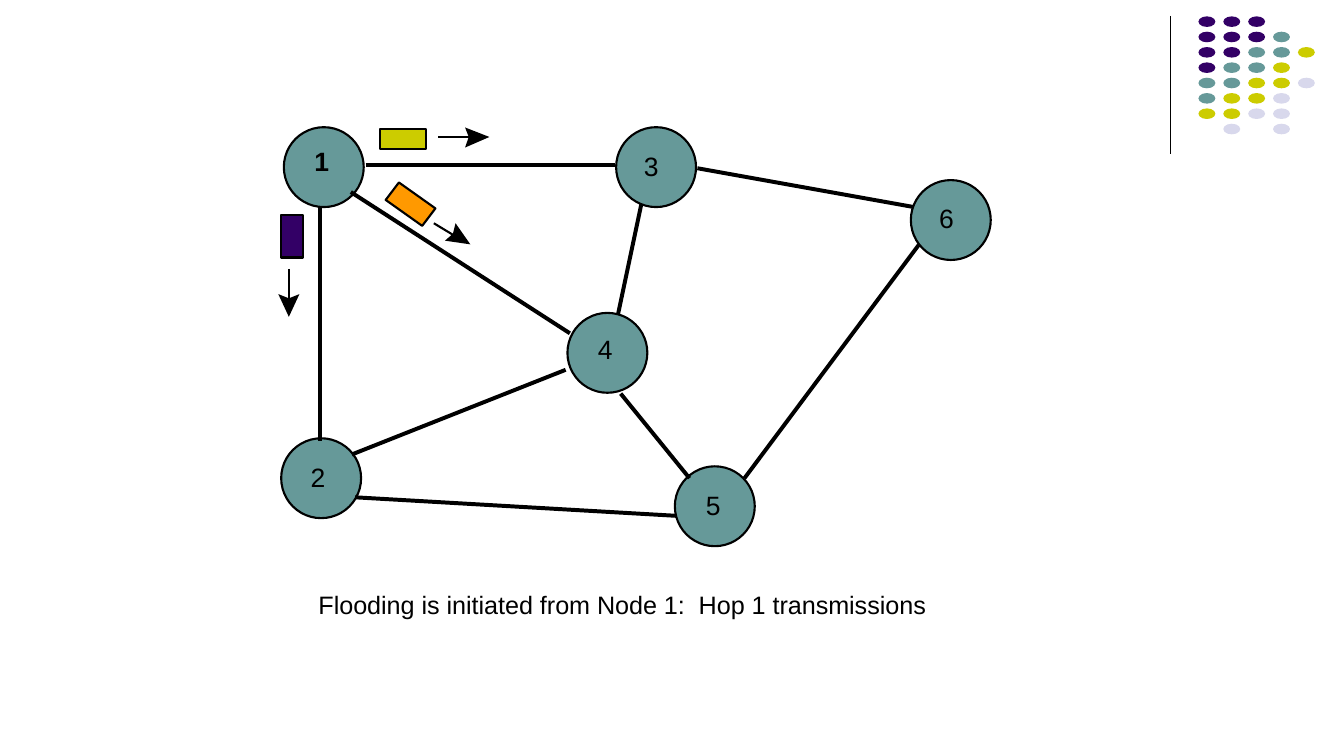
"""Build a slide of a six-node network at the first hop of flooding."""
from dataclasses import dataclass

from lxml import etree
from pptx import Presentation
from pptx import util as u
from pptx.dml.color import RGBColor
from pptx.enum import shapes, text
from pptx.oxml import ns

BLACK = RGBColor(0x00, 0x00, 0x00)
PURPLE = RGBColor(0x33, 0x00, 0x66)
TEAL = RGBColor(0x66, 0x99, 0x99)
YELLOW = RGBColor(0xCC, 0xCC, 0x00)
PALE = RGBColor(0xD8, 0xD8, 0xEC)
ORANGE = RGBColor(0xFF, 0x99, 0x00)
INKS = {"P": PURPLE, "T": TEAL, "Y": YELLOW, "L": PALE}
DOTS = ("PPP", "PPPT", "PPTTY", "PTTY", "TTYYL", "TYYL", "YYLL", " L L")
SIZE = 1.51
THIN, EDGE, THICK = 0.75, 1.13, 2.13

Point = tuple[float, float]
OVAL, RECT = shapes.MSO_SHAPE.OVAL, shapes.MSO_SHAPE.RECTANGLE


@dataclass
class Node:
    name: str
    mid: Point
    label: Point
    bold: bool = False


@dataclass
class Arrow:
    start: Point
    end: Point
    head: list[Point]


NODES = [
    Node("1", (6.12, 3.16), (5.94, 2.74), True),
    Node("2", (6.07, 9.04), (5.87, 8.71)),
    Node("3", (12.4, 3.16), (12.17, 2.84)),
    Node("4", (11.48, 6.67), (11.3, 6.3)),
    Node("5", (13.51, 9.57), (13.34, 9.25)),
    Node("6", (17.97, 4.16), (17.75, 3.81)),
]
LINKS = [
    ((6.91, 3.12), (11.63, 3.12)),
    ((12.12, 3.86), (11.68, 5.94)),
    ((11.73, 7.44), (13.03, 9.04)),
    ((13.18, 3.18), (17.25, 3.91)),
    ((14.07, 9.04), (17.37, 4.62)),
    ((12.78, 9.75), (6.71, 9.4)),
    ((6.05, 3.91), (6.05, 8.33)),
    ((6.63, 3.63), (10.77, 6.3)),
    ((10.69, 6.99), (6.65, 8.59)),
]
ARROWS = [
    Arrow((8.28, 2.59), (8.92, 2.59),
          [(8.79, 2.79), (8.86, 2.59), (8.79, 2.41), (9.25, 2.59)]),
    Arrow((8.2, 4.22), (8.58, 4.45),
          [(8.41, 4.55), (8.56, 4.42), (8.61, 4.22), (8.89, 4.62)]),
    Arrow((5.46, 5.08), (5.46, 5.69),
          [(5.26, 5.56), (5.46, 5.64), (5.66, 5.56), (5.46, 5.99)]),
]
TILT = [(7.54, 3.45), (7.29, 3.78), (7.98, 4.27), (8.23, 3.94)]


def paint(shape, fill: RGBColor, edge: float = 0) -> None:
    shape.shadow.inherit = False
    shape.fill.solid()
    shape.fill.fore_color.rgb = fill
    if edge:
        shape.line.color.rgb = BLACK
        shape.line.width = u.Pt(edge)
    else:
        shape.line.fill.background()


def block(slide, kind, x: float, y: float, w: float, h: float,
          fill: RGBColor, edge: float = 0) -> None:
    box = slide.shapes.add_shape(kind, u.Cm(x), u.Cm(y), u.Cm(w), u.Cm(h))
    paint(box, fill, edge)


def poly(slide, points: list[Point], fill: RGBColor, edge: float = 0) -> None:
    first, *rest = [(u.Cm(x), u.Cm(y)) for x, y in points]
    pen = slide.shapes.build_freeform(*first)
    pen.add_line_segments(rest, close=True)
    paint(pen.convert_to_shape(), fill, edge)


def stroke(slide, start: Point, end: Point, width: float) -> None:
    ends = [u.Cm(v) for v in (*start, *end)]
    line = slide.shapes.add_connector(shapes.MSO_CONNECTOR.STRAIGHT, *ends)
    line.line.color.rgb = BLACK
    line.line.width = u.Pt(width)
    etree.SubElement(line._element.spPr, ns.qn("a:effectLst"))


def write(slide, words: str, x: float, y: float, w: float, h: float, *,
          size: float, bold: bool = False, wrap: bool = True,
          inset: bool = True) -> None:
    box = slide.shapes.add_textbox(u.Cm(x), u.Cm(y), u.Cm(w), u.Cm(h))
    frame = box.text_frame
    frame.word_wrap = wrap
    frame.auto_size = text.MSO_AUTO_SIZE.SHAPE_TO_FIT_TEXT
    if not inset:
        frame.margin_left = frame.margin_right = 0
        frame.margin_top = frame.margin_bottom = 0
    run = frame.paragraphs[0].add_run()
    run.text = words
    run.font.name = "Arial"
    run.font.size = u.Pt(size)
    run.font.bold = bold
    run.font.color.rgb = BLACK


def motif(slide) -> None:
    stroke(slide, (22.12, 0.3), (22.12, 2.92), THIN)
    for row, marks in enumerate(DOTS):
        for col, mark in enumerate(marks):
            if mark in INKS:
                block(slide, OVAL, 22.65 + 0.47 * col, 0.31 + 0.29 * row,
                      0.32, 0.2, INKS[mark])


def graph(slide) -> None:
    for node in NODES:
        x, y = node.mid
        block(slide, OVAL, x - SIZE / 2, y - SIZE / 2, SIZE, SIZE, TEAL, EDGE)
    for start, end in LINKS:
        stroke(slide, start, end, THICK)
    for node in NODES:
        write(slide, node.name, *node.label, 0.28, 0.61, size=14.2,
              bold=node.bold, wrap=False, inset=False)


def hops(slide) -> None:
    block(slide, RECT, 7.19, 2.44, 0.86, 0.38, YELLOW, EDGE)
    block(slide, RECT, 5.31, 4.06, 0.41, 0.81, PURPLE, EDGE)
    poly(slide, TILT, ORANGE, EDGE)
    for arrow in ARROWS:
        stroke(slide, arrow.start, arrow.end, EDGE)
        poly(slide, arrow.head, BLACK)


def main() -> None:
    deck = Presentation()
    deck.slide_width, deck.slide_height = u.Cm(25.4), u.Cm(14.29)
    slide = deck.slides.add_slide(deck.slide_layouts[6])
    motif(slide)
    graph(slide)
    hops(slide)
    write(slide, "Flooding is initiated from Node 1:  Hop 1 transmissions",
          5.77, 11.02, 12.8, 0.84, size=13.5)
    deck.save("out.pptx")


if __name__ == "__main__":
    main()
